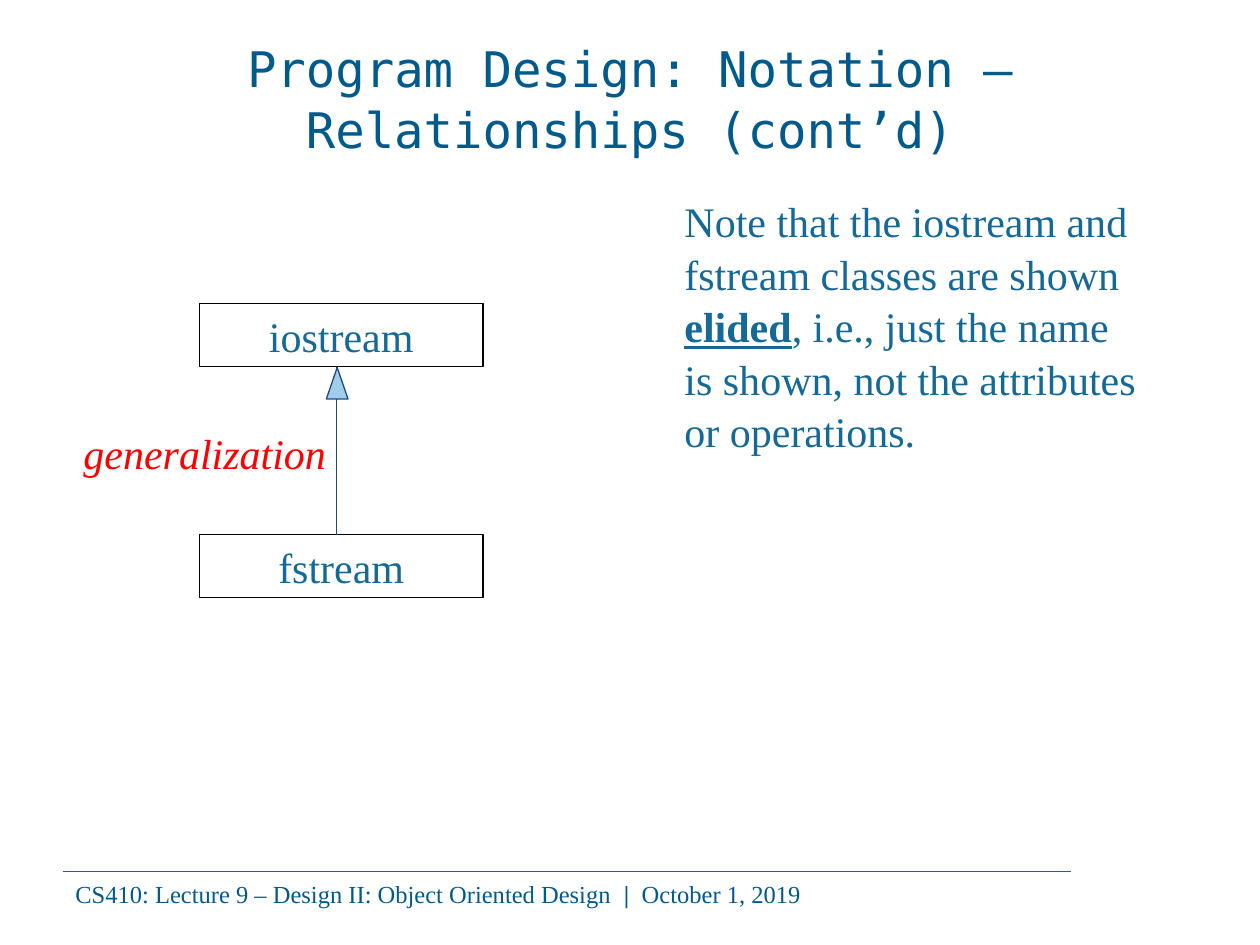
from lxml.etree import SubElement
from pptx import Presentation
from pptx.dml.color import RGBColor
from pptx.enum.shapes import MSO_CONNECTOR, MSO_SHAPE
from pptx.enum.text import MSO_ANCHOR, PP_ALIGN
from pptx.oxml.ns import qn
from pptx.util import Pt

NAVY = RGBColor(0x00, 0x5A, 0x8B)
TEAL = RGBColor(0x15, 0x69, 0x97)
RED = RGBColor(0xFF, 0x00, 0x00)
BLACK = RGBColor(0x00, 0x00, 0x00)
BLUE = RGBColor(0x1F, 0x49, 0x7D)
RULE = RGBColor(0x2D, 0x58, 0x8D)
SKY = RGBColor(0xA0, 0xCE, 0xEA)
SERIF = "Times New Roman"
MONO = "DejaVu Sans Mono"


def style(frame, size, color, align=PP_ALIGN.LEFT, name=SERIF, before=0):
    frame.word_wrap = True
    para = frame.paragraphs[0]
    para.alignment = align
    para.line_spacing = 1.04
    para.space_before = Pt(before)
    font = para.font
    font.size, font.name = Pt(size), name
    font.color.rgb = color
    return para


def add_text(slide, box, size, color, **look):
    """Add an empty text box and return its styled paragraph."""
    frame = slide.shapes.add_textbox(*map(Pt, box)).text_frame
    return style(frame, size, color, **look)


def add_runs(para, *texts):
    runs = []
    for text in texts:
        run = para.add_run()
        run.text = text
        runs.append(run)
    return runs


def add_line(slide, start, end, color, width):
    line = slide.shapes.add_connector(
        MSO_CONNECTOR.STRAIGHT, *map(Pt, (*start, *end)))
    line.line.color.rgb = color
    line.line.width = Pt(width)
    SubElement(line._element.spPr, qn("a:effectLst"))


def add_title(slide, box):
    title = slide.shapes.title
    title.left, title.top, title.width, title.height = map(Pt, box)
    frame = title.text_frame
    frame.text = "Program Design: Notation – Relationships (cont’d)"
    frame.vertical_anchor = MSO_ANCHOR.MIDDLE
    style(frame, 28, NAVY, PP_ALIGN.CENTER, MONO)


def add_class(slide, box, name):
    """Draw a class as a box that holds only its name."""
    shape = slide.shapes.add_shape(MSO_SHAPE.RECTANGLE, *map(Pt, box))
    shape.shadow.inherit = False
    shape.fill.background()
    shape.line.color.rgb = BLACK
    shape.line.width = Pt(0.75)
    shape.text_frame.text = name
    style(shape.text_frame, 24, TEAL, PP_ALIGN.CENTER, before=15)


def add_diagram(slide, box):
    left, top, width, height = box
    wide, high = 162, 36
    side = left + width - wide
    base = top + height - high
    add_class(slide, (side, top, wide, high), "iostream")
    add_class(slide, (side, base, wide, high), "fstream")

    mid = side + 78.5
    add_line(slide, (mid, base), (mid, top + high), BLUE, 0.75)
    head = slide.shapes.add_shape(
        MSO_SHAPE.ISOSCELES_TRIANGLE,
        *map(Pt, (mid - 6, top + high + 0.5, 12.4, 18)))
    head.shadow.inherit = False
    head.fill.solid()
    head.fill.fore_color.rgb = SKY
    head.line.color.rgb = BLUE
    head.line.width = Pt(0.75)

    label = add_text(slide, (left, top + 66.3, 186, high), 24, RED,
                     align=PP_ALIGN.CENTER, before=15)
    label.font.italic = True
    add_runs(label, "generalization")


def add_note(slide, box):
    para = add_text(slide, box, 24, TEAL, before=15)
    runs = add_runs(
        para,
        "Note that the iostream and fstream classes are shown ",
        "elided",
        ", i.e., just the name is shown, not the attributes or operations.")
    runs[1].font.bold = runs[1].font.underline = True


def add_footer(slide, box):
    left, top, width, height = box
    add_line(slide, (left, top), (left + 576, top), RULE, 0.5)
    para = add_text(slide, box, 14, NAVY)
    runs = add_runs(
        para,
        "CS410: Lecture 9 – Design II: Object Oriented Design  ",
        "|  ",
        "October 1, 2019")
    runs[1].font.bold = True


def main():
    deck = Presentation()
    deck.slide_width, deck.slide_height = Pt(720), Pt(540)
    slide = deck.slides.add_slide(deck.slide_layouts[5])
    add_footer(slide, (36, 498, 588, 24.5))
    add_title(slide, (36, 21.6, 648, 68.4))
    add_diagram(slide, (24, 173.5, 252, 168))
    add_note(slide, (384, 107.3, 276, 151.2))
    deck.save("out.pptx")


if __name__ == "__main__":
    main()
